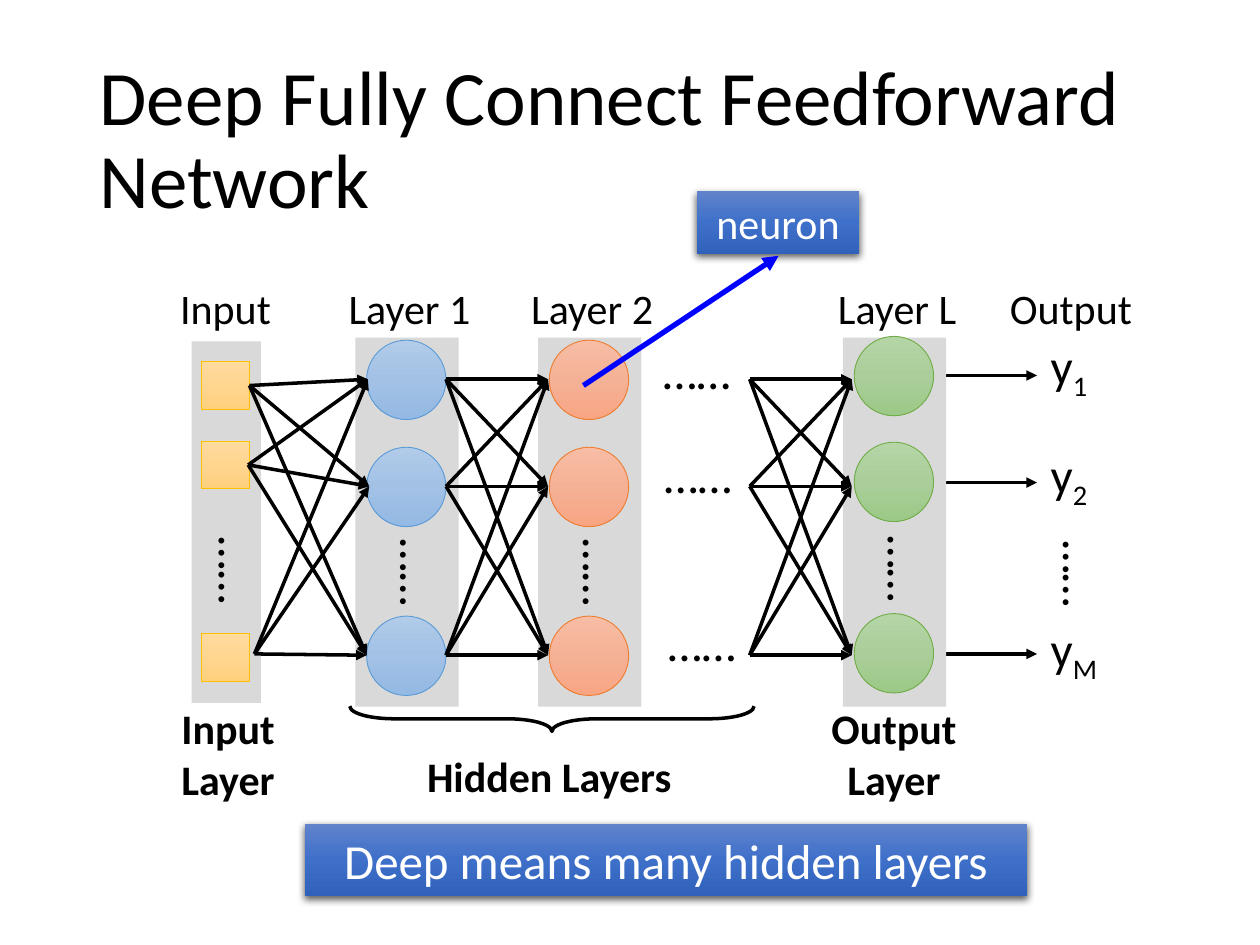
from copy import deepcopy
from dataclasses import dataclass
from itertools import product

from lxml import etree
from pptx import Presentation
from pptx.dml.color import RGBColor
from pptx.enum import shapes, text
from pptx.oxml.ns import qn
from pptx.util import Inches, Pt


@dataclass(frozen=True)
class Theme:
    font: str = "Calibri"
    title: int = 44
    large: int = 28
    label: int = 24
    ink: str = "000000"
    white: str = "FFFFFF"
    panel: str = "D9D9D9"
    pointer: str = "0000FF"
    banner: tuple = ("6183CB", "3E70CA", "3062BB")
    yellow: tuple = ("FFDB9E", "FFD590", "FFD07C")
    yellow_line: str = "FFC000"
    blue: tuple = ("B1CBE9", "A3C1E5", "93B9E4")
    blue_line: str = "5B9BD5"
    orange: tuple = ("F7BDA5", "F5B196", "F8A582")
    orange_line: str = "ED7D31"
    green: tuple = ("B5D5A7", "AACE9A", "9CC987")
    green_line: str = "70AD47"


@dataclass(frozen=True)
class Layer:
    name: str
    left: float
    tops: tuple
    dots_top: float
    colors: tuple
    outline: str


THEME = Theme()
LAYERS = [
    Layer("Layer 1", 2.82, (2.7, 3.55, 4.89), 4.26, THEME.blue, THEME.blue_line),
    Layer("Layer 2", 4.27, (2.7, 3.55, 4.89), 4.26, THEME.orange, THEME.orange_line),
    Layer("Layer L", 6.69, (2.67, 3.51, 4.87), 4.23, THEME.green, THEME.green_line),
]
NEURON = 0.63
INPUT = 0.38
ROWS = (3.01, 3.86, 5.2)


def rgb(value: str) -> RGBColor:
    return RGBColor.from_string(value)


def style_text(shape, size: int, color: str = THEME.ink, bold: bool = False,
               align=text.PP_ALIGN.CENTER) -> None:
    para = shape.text_frame.paragraphs[0]
    para.alignment = align
    for span in para.runs:
        span.font.name, span.font.size, span.font.bold = THEME.font, Pt(size), bold
        span.font.color.rgb = rgb(color)


def add_text(slide, words: str, left: float, top: float, width: float, height: float,
             size: int = THEME.label, bold: bool = False, rotation: int = 0):
    box = slide.shapes.add_textbox(*map(Inches, (left, top, width, height)))
    box.rotation = rotation
    box.text_frame.text = words
    box.text_frame.word_wrap = True
    box.text_frame.auto_size = text.MSO_AUTO_SIZE.SHAPE_TO_FIT_TEXT
    style_text(box, size, bold=bold)
    return box


def add_dots(slide, left: float, top: float, rotation: int = 0) -> None:
    add_text(slide, "……", left, top, 0.84, 0.57, THEME.large, rotation=rotation)


def add_shape(slide, kind, left: float, top: float, width: float, height: float):
    shape = slide.shapes.add_shape(kind, *map(Inches, (left, top, width, height)))
    shape.shadow.inherit = False
    shape.line.fill.background()
    return shape


def add_panel(slide, left: float, top: float, width: float, height: float) -> None:
    panel = add_shape(slide, shapes.MSO_SHAPE.RECTANGLE, left, top, width, height)
    panel.fill.solid()
    panel.fill.fore_color.rgb = rgb(THEME.panel)


def fill_gradient(shape, colors: tuple) -> None:
    """Fill from top to bottom through three colours."""
    shape.fill.gradient()
    shape.fill.gradient_angle = 270
    stop_list = shape._element.spPr.find(qn("a:gradFill")).find(qn("a:gsLst"))
    stop_list.insert(1, deepcopy(stop_list[0]))
    for stop, color, position in zip(shape.fill.gradient_stops, colors, (0, 0.5, 1)):
        stop.color.rgb = rgb(color)
        stop.position = position


def add_node(slide, kind, left: float, top: float, size: float,
             colors: tuple, outline: str) -> None:
    node = add_shape(slide, kind, left, top, size, size)
    fill_gradient(node, colors)
    node.line.color.rgb = rgb(outline)
    node.line.width = Pt(0.5)


def add_banner(slide, words: str, left: float, top: float, width: float,
               height: float, size: int) -> None:
    banner = add_shape(slide, shapes.MSO_SHAPE.RECTANGLE, left, top, width, height)
    fill_gradient(banner, THEME.banner)
    banner.text_frame.text = words
    banner.text_frame.word_wrap = True
    style_text(banner, size, THEME.white)
    effects = banner._element.spPr.find(qn("a:effectLst"))
    shadow = etree.SubElement(effects, qn("a:outerShdw"), blurRad=str(Pt(4.5)),
                              dist=str(Pt(1.5)), dir="5400000", rotWithShape="0")
    color = etree.SubElement(shadow, qn("a:srgbClr"), val=THEME.ink)
    etree.SubElement(color, qn("a:alpha"), val="63000")


def add_arrow(slide, start: tuple, end: tuple, color: str = THEME.ink, width: float = 2) -> None:
    arrow = slide.shapes.add_connector(
        shapes.MSO_CONNECTOR.STRAIGHT, *map(Inches, (*start, *end)))
    arrow.line.color.rgb = rgb(color)
    arrow.line.width = Pt(width)
    properties = arrow._element.spPr
    etree.SubElement(properties.find(qn("a:ln")), qn("a:tailEnd"), type="triangle")
    etree.SubElement(properties, qn("a:effectLst"))


def connect(slide, starts: list, ends: list) -> None:
    for start, end in product(starts, ends):
        add_arrow(slide, start, end)


def add_layer(slide, layer: Layer) -> None:
    add_panel(slide, layer.left, 2.68, 0.82, 2.93)
    add_text(slide, layer.name, layer.left - 0.19, 2.19, 1.24, 0.5)
    for top in layer.tops:
        add_node(slide, shapes.MSO_SHAPE.OVAL, layer.left + 0.09, top, NEURON,
                 layer.colors, layer.outline)
    add_dots(slide, layer.left + 0.09, layer.dots_top, 90)


def main() -> None:
    deck = Presentation()
    deck.slide_width, deck.slide_height = Inches(10), Inches(7.5)
    slide = deck.slides.add_slide(deck.slide_layouts[5])

    # Title
    title = slide.shapes.title
    title.left, title.top, title.width, title.height = map(Inches, (0.69, 0.4, 8.62, 1.45))
    title.text_frame.text = "Deep Fully Connect Feedforward Network"
    title.text_frame.vertical_anchor = text.MSO_ANCHOR.MIDDLE
    title.text_frame.auto_size = text.MSO_AUTO_SIZE.NONE
    title.text_frame.paragraphs[0].line_spacing = 0.9
    style_text(title, THEME.title, align=text.PP_ALIGN.LEFT)

    # Captions and the brace under the hidden layers
    add_text(slide, "Output Layer", 6.46, 5.53, 1.27, 0.91, bold=True)
    add_text(slide, "Hidden Layers", 3.23, 5.91, 2.26, 0.5, bold=True)
    brace = add_shape(slide, shapes.MSO_SHAPE.RIGHT_BRACE, 4.28, 4.1, 0.2, 3.21)
    brace.rotation = 90
    brace.adjustments[0] = 1.76
    brace.fill.background()
    brace.line.color.rgb = rgb(THEME.ink)
    brace.line.width = Pt(2)

    # Input layer
    add_panel(slide, 1.52, 2.71, 0.55, 2.87)
    add_text(slide, "Input Layer", 1.3, 5.53, 1.02, 0.91, bold=True)
    add_text(slide, "Input", 1.17, 2.19, 1.24, 0.5)
    for top in (2.87, 3.5, 5.03):
        add_node(slide, shapes.MSO_SHAPE.RECTANGLE, 1.6, top, INPUT,
                 THEME.yellow, THEME.yellow_line)
    add_dots(slide, 1.47, 4.24, 90)

    # Outputs, with arrows that start behind the last layer
    add_text(slide, "Output", 7.88, 2.19, 1.24, 0.5)
    for index, top, arrow_y in (("1", 2.61, 2.98), ("2", 3.48, 3.83), ("M", 4.86, 5.19)):
        add_arrow(slide, (7.11, arrow_y), (8.23, arrow_y))
        box = add_text(slide, "y", 8.24, top, 0.69, 0.57)
        subscript = box.text_frame.paragraphs[0].add_run()
        subscript.text = index
        style_text(box, THEME.large, align=text.PP_ALIGN.LEFT)
        subscript._r.get_or_add_rPr().set("baseline", "-25000")
    add_dots(slide, 8.17, 4.27, 90)

    # Neuron layers and the dots between them
    for layer in LAYERS:
        add_layer(slide, layer)
    for left, top in ((5.11, 2.65), (5.12, 3.48), (5.15, 4.81)):
        add_dots(slide, left, top)

    # Full connections between neighbouring layers
    connect(slide, [(1.98, 3.06), (1.97, 3.69), (2.02, 5.19)],
            list(zip((2.92, 2.93, 2.91), ROWS)))
    for left in (3.54, 5.95):
        connect(slide, [(left, y) for y in ROWS], [(left + 0.81, y) for y in ROWS])

    # Banners and the pointer to a neuron
    add_banner(slide, "Deep means many hidden layers", 2.42, 6.54, 5.73, 0.57, THEME.large)
    add_banner(slide, "neuron", 5.53, 1.52, 1.29, 0.5, THEME.label)
    add_arrow(slide, (4.63, 3.06), (6.18, 2.03), THEME.pointer, 3)

    deck.save("out.pptx")


if __name__ == "__main__":
    main()
